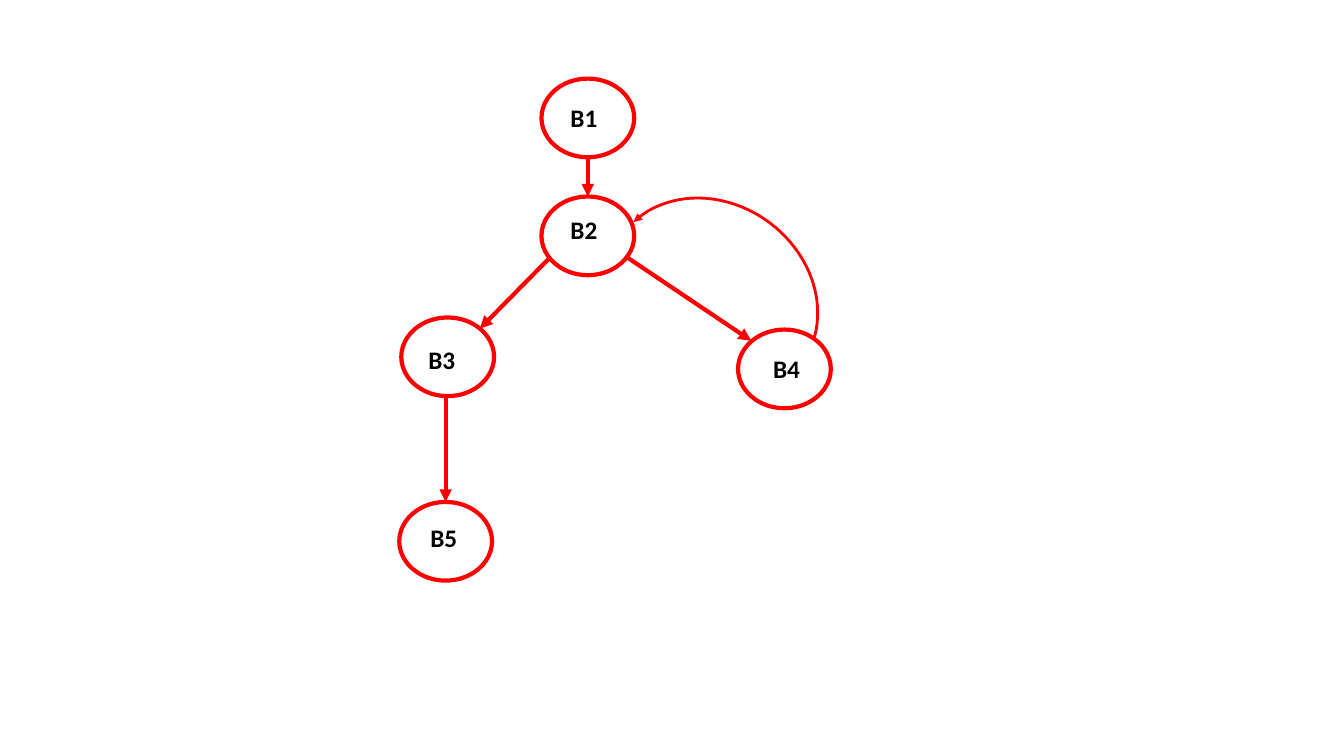
import pptx
import pptx.util
import pptx.dml.color
import pptx.enum.shapes
import pptx.enum.text
import pptx.oxml

Inches = pptx.util.Inches
Pt = pptx.util.Pt
Shape = pptx.enum.shapes.MSO_SHAPE
RED = pptx.dml.color.RGBColor(0xFF, 0x00, 0x00)
WHITE = pptx.dml.color.RGBColor(0xFF, 0xFF, 0xFF)
BLACK = pptx.dml.color.RGBColor(0x00, 0x00, 0x00)


class Graph:
    font = "Calibri"
    size = Pt(18)
    wide, high = 0.92, 0.78

    def __init__(self, slide):
        self.shapes = slide.shapes

    def stroke(self, item, width, end=None):
        item.line.color.rgb = RED
        item.line.width = Pt(width)
        if end:
            tip = pptx.oxml.parse_xml(
                f'<a:{end} xmlns:a="http://schemas.openxmlformats.org/'
                'drawingml/2006/main" type="triangle"/>')
            item.line._get_or_add_ln().append(tip)

    def node(self, left, top):
        oval = self.shapes.add_shape(
            Shape.OVAL, Inches(left), Inches(top),
            Inches(self.wide), Inches(self.high))
        oval.shadow.inherit = False
        oval.fill.solid()
        oval.fill.fore_color.rgb = WHITE
        self.stroke(oval, 3)

    def edge(self, x1, y1, x2, y2):
        line = self.shapes.add_connector(
            pptx.enum.shapes.MSO_CONNECTOR.STRAIGHT,
            Inches(x1), Inches(y1), Inches(x2), Inches(y2))
        self.stroke(line, 3, "tailEnd")
        line._element.spPr.append(pptx.oxml.parse_xml(
            '<a:effectLst xmlns:a="http://schemas.openxmlformats.org/'
            'drawingml/2006/main"/>'))

    def label(self, text, left, top):
        box = self.shapes.add_textbox(
            Inches(left), Inches(top), Inches(0.53), Inches(0.4))
        frame = box.text_frame
        frame.word_wrap = True
        frame.auto_size = pptx.enum.text.MSO_AUTO_SIZE.SHAPE_TO_FIT_TEXT
        frame.text = text
        font = frame.paragraphs[0].runs[0].font
        font.name, font.size, font.bold = self.font, self.size, True
        font.color.rgb = BLACK

    def loop(self, left, top, wide, high, turn, start, stop):
        arc = self.shapes.add_shape(
            Shape.ARC, Inches(left), Inches(top), Inches(wide), Inches(high))
        arc.shadow.inherit = False
        arc.rotation = turn
        # Angles are kept in 60000ths of a degree, adjustments in 100000ths
        arc.adjustments[0] = start * 0.6
        arc.adjustments[1] = stop * 0.6
        arc.fill.background()
        self.stroke(arc, 2, "headEnd")


def main():
    deck = pptx.Presentation()
    deck.slide_width, deck.slide_height = Inches(13.33), Inches(7.5)
    graph = Graph(deck.slides.add_slide(deck.slide_layouts[6]))

    # Blocks: node corner, then label corner
    blocks = {
        "B1": ((5.37, 0.78), (5.56, 0.97)),
        "B2": ((5.37, 1.95), (5.56, 2.08)),
        "B3": ((3.98, 3.15), (4.15, 3.37)),
        "B5": ((3.96, 4.98), (4.17, 5.13)),
        "B4": ((7.32, 3.27), (7.57, 3.46)),
    }
    for spot, _ in blocks.values():
        graph.node(*spot)

    # Forward edges
    graph.edge(5.83, 1.56, 5.83, 1.95)
    graph.edge(4.42, 3.93, 4.42, 4.98)
    graph.edge(5.45, 2.56, 4.76, 3.26)
    graph.edge(6.23, 2.56, 7.45, 3.38)

    # Labels
    for name, (_, spot) in blocks.items():
        graph.label(name, *spot)

    # Back edge from B4 to B2
    graph.loop(6.12, 1.87, 1.89, 2.19, 126.4, 97.9, 253.9)

    deck.save("out.pptx")


if __name__ == "__main__":
    main()
